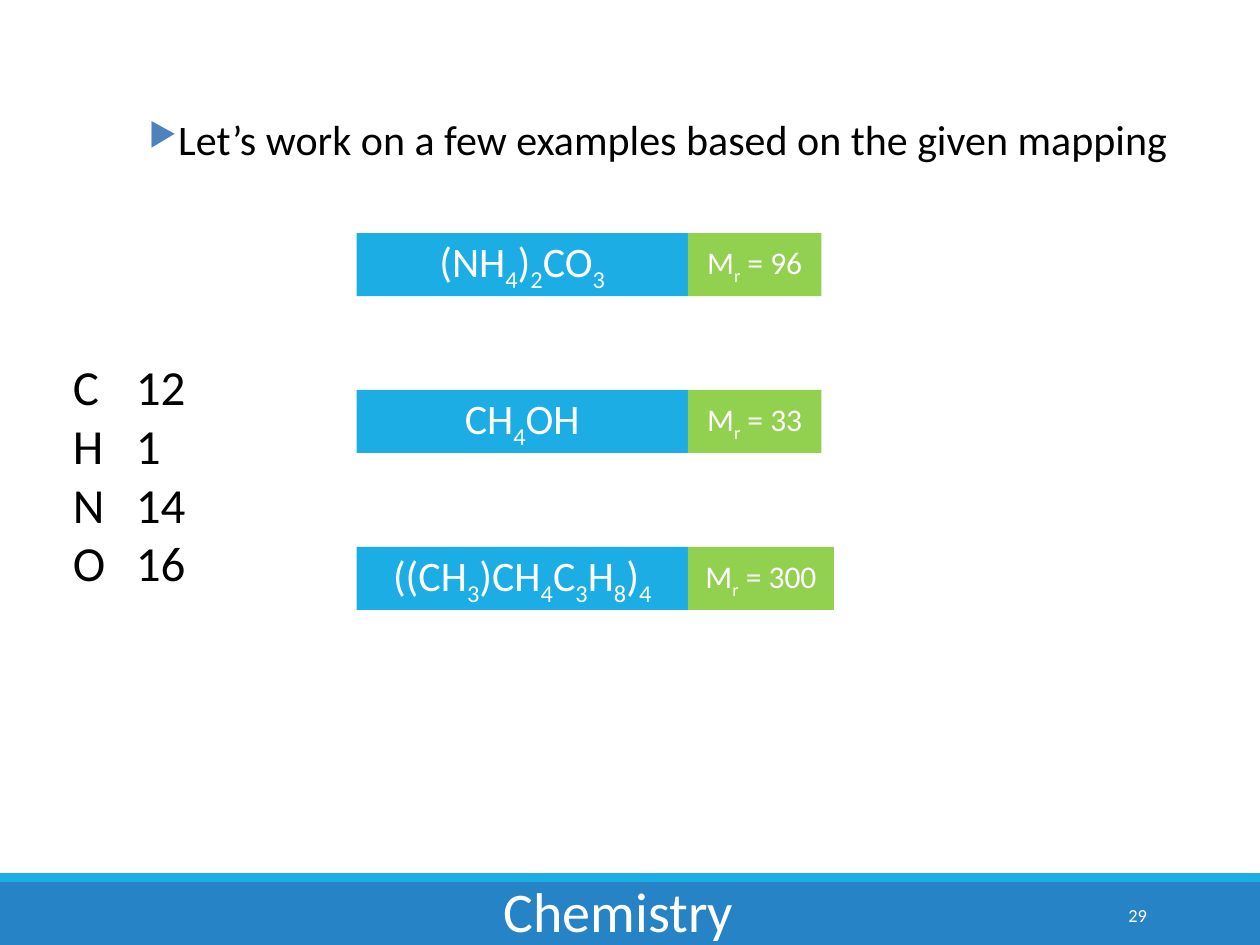
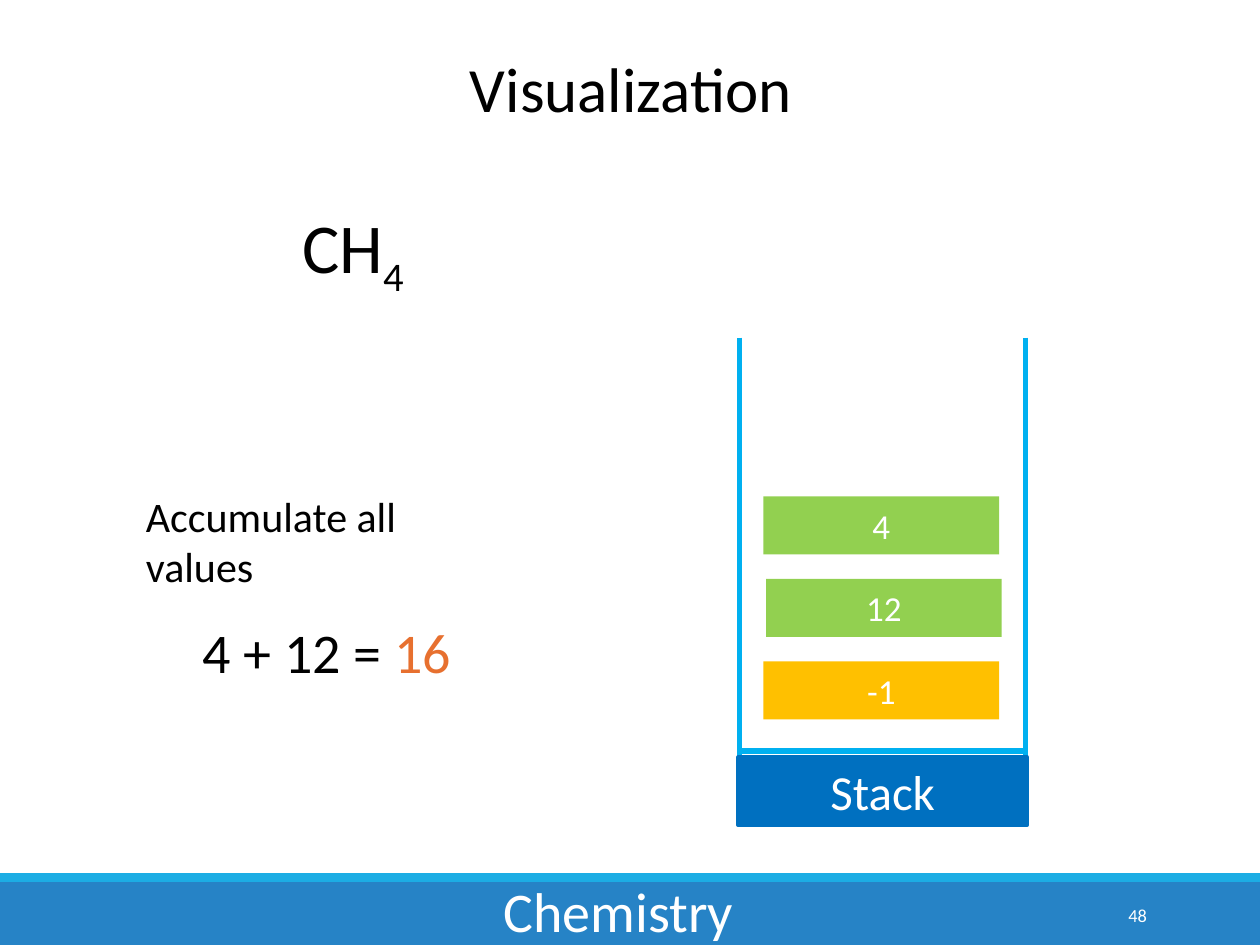
from lxml import etree
from pptx import Presentation
from pptx.dml.color import RGBColor
from pptx.enum.shapes import MSO_CONNECTOR, MSO_SHAPE
from pptx.enum.text import MSO_ANCHOR, PP_ALIGN
from pptx.oxml.ns import qn
from pptx.util import Inches, Pt

RECT, LINE = MSO_SHAPE.RECTANGLE, MSO_CONNECTOR.STRAIGHT
TOP, MID, LOW = MSO_ANCHOR.TOP, MSO_ANCHOR.MIDDLE, MSO_ANCHOR.BOTTOM
LEFT, MAIN, RIGHT = PP_ALIGN.LEFT, PP_ALIGN.CENTER, PP_ALIGN.RIGHT
FULL = PP_ALIGN.JUSTIFY

BLACK = RGBColor(0x00, 0x00, 0x00)
WHITE = RGBColor(0xFF, 0xFF, 0xFF)
BAND = RGBColor(0x26, 0x83, 0xC6)
SKY = RGBColor(0x1C, 0xAD, 0xE4)
WALL = RGBColor(0x00, 0xB0, 0xF0)
BASE = RGBColor(0x00, 0x70, 0xC0)
GREEN = RGBColor(0x92, 0xD0, 0x50)
GOLD = RGBColor(0xFF, 0xC0, 0x00)
RUST = RGBColor(0xE7, 0x70, 0x2F)

FONT = "Calibri"
WIDE, HIGH = Inches(10), Inches(7.5)
COL, ROW = WIDE // 100, HIGH // 75
PAD = (1, 0.5, 1, 0.5)
SLIM = (0.7, 0.4, 0.7, 0.4)
OPEN = (1, 0.5, 0, 0.5)


def grid(box):
    """Turn columns and rows into slide lengths."""
    return [round(n * unit) for n, unit in zip(box, (COL, ROW, COL, ROW))]


def add_run(para, text, size, color, sub=False):
    """Add one styled run."""
    run = para.add_run()
    run.text = text
    run.font.name, run.font.size = FONT, Pt(size)
    run.font.color.rgb = color
    if sub:
        run.font._element.set("baseline", "-25000")


def add_terms(para, terms, size, color):
    """Add text whose every second part, split at bars, is a subscript."""
    for i, part in enumerate(terms.split("|")):
        add_run(para, part, size, color, i % 2 == 1)


def set_frame(shape, align=LEFT, anchor=TOP, pad=PAD):
    """Prepare a text frame and return its first paragraph."""
    frame = shape.text_frame
    frame.word_wrap, frame.vertical_anchor = True, anchor
    (frame.margin_left, frame.margin_top,
     frame.margin_right, frame.margin_bottom) = grid(pad)
    para = frame.paragraphs[0]
    para.alignment = align
    return para


def add_label(slide, box, terms, size, color=BLACK, **style):
    """Place a text box and return its paragraph."""
    para = set_frame(slide.shapes.add_textbox(*grid(box)), **style)
    add_terms(para, terms, size, color)
    return para


def add_block(slide, box, fill, terms="", size=20):
    """Place a filled bar with centred white text."""
    shape = slide.shapes.add_shape(RECT, *grid(box))
    shape.shadow.inherit = False
    shape.fill.solid()
    shape.fill.fore_color.rgb = fill
    shape.line.fill.background()
    if terms:
        add_terms(set_frame(shape, MAIN, MID), terms, size, WHITE)
    return shape


def add_wall(slide, start, end):
    """Draw one side of the stack."""
    line = slide.shapes.add_connector(LINE, *grid(start + end))
    line.line.color.rgb, line.line.width = WALL, Pt(3)
    etree.SubElement(line._element.spPr, qn("a:effectLst"))


def add_bullet(para):
    """Give a paragraph a hanging blue triangle."""
    props = para._p.get_or_add_pPr()
    props.set("marL", str(Inches(0.23)))
    props.set("indent", str(-Inches(0.22)))
    tint = etree.SubElement(props, qn("a:buClr"))
    etree.SubElement(tint, qn("a:srgbClr"), val="4F81BD")
    etree.SubElement(props, qn("a:buSzPct"), val="76000")
    etree.SubElement(props, qn("a:buChar"), char="▶")


def add_slide(deck, number):
    """Start a blank slide with the shared footer."""
    slide = deck.slides.add_slide(deck.slide_layouts[6])
    add_block(slide, (0, 70, 100, 5), BAND)
    add_block(slide, (0, 69.3, 100, 0.7), SKY)
    add_label(slide, (27.9, 69, 42.4, 6.4), "Chemistry", 32, WHITE,
              align=MAIN, anchor=LOW)
    add_label(slide, (81.2, 70.6, 10.8, 4), number, 10.5, WHITE,
              align=RIGHT, anchor=MID)
    return slide


def add_masses(slide, box, masses):
    """List each atom beside its mass."""
    para = set_frame(slide.shapes.add_textbox(*grid(box)))
    frame = slide.shapes[-1].text_frame
    for i, (atom, mass) in enumerate(masses):
        para = frame.add_paragraph() if i else para
        add_run(para, f"{atom}\t{mass}", 28, BLACK)


def add_sums(slide, box, rows):
    """Stack formula bars, each with its mass at the right."""
    left, top, width, height = box
    step = (height - 5) / (len(rows) - 1)
    for i, (terms, mass, tail) in enumerate(rows):
        y = top + i * step
        add_block(slide, (left, y, width, 5), SKY, terms, 24)
        add_block(slide, (left + width, y, tail, 5), GREEN,
                  f"M|r| = {mass}", 18)


def add_stack(slide, box, items):
    """Draw an open stack with its items and its named base."""
    left, top, width, height = box
    right, low = left + width, top + height
    for x in (left, right):
        add_wall(slide, (x, top), (x, low))
    add_wall(slide, (left, low - 0.5), (right, low - 0.5))
    base = add_block(slide, (left - 0.1, low, width + 0.2, 5.4),
                     BASE, "Stack", 28)
    base.line.color.rgb, base.line.width = BASE, Pt(2.25)
    for i, (value, fill, shift) in enumerate(items):
        add_block(slide, (left + 1.9 + shift, low - 7.6 - i * 6.55, 18.7, 4.6),
                  fill, value)


def add_tasks(deck):
    """Build the slide of worked formulas."""
    slide = add_slide(deck, "29")
    para = add_label(slide, (11, 8.6, 83.3, 50),
                     "Let’s work on a few examples based on the given mapping",
                     24, align=FULL, pad=SLIM)
    add_bullet(para)
    add_masses(slide, (4.8, 27.8, 16.1, 19.9),
               [("C", 12), ("H", 1), ("N", 14), ("O", 16)])
    add_sums(slide, (28.3, 18.5, 26.3, 29.9), [
        ("(NH|4|)|2|CO|3", 96, 10.6),
        ("CH|4|OH", 33, 10.6),
        ("((CH|3|)CH|4|C|3|H|8|)|4", 300, 11.6)])


def add_trace(deck):
    """Build the slide that shows the stack at work."""
    slide = add_slide(deck, "48")
    add_label(slide, (36.6, 3.5, 59, 6.7), "Visualization", 36,
              align=FULL, pad=SLIM)
    add_label(slide, (23, 15.7, 11.3, 7.7), "CH|4", 40, pad=OPEN)
    add_stack(slide, (58.7, 26.8, 22.7, 33.3),
              [("-1", GOLD, 0), ("12", GREEN, 0.2), ("4", GREEN, 0)])
    add_label(slide, (10.6, 38.4, 31, 5), "Accumulate all values", 24,
              pad=(1, 0.5, 6, 0.5))
    para = add_label(slide, (15.1, 48.5, 22, 6.4), "4 + 12 = ", 32, pad=OPEN)
    add_run(para, "16", 32, RUST)


def main():
    """Build and save the deck."""
    deck = Presentation()
    deck.slide_width, deck.slide_height = WIDE, HIGH
    add_tasks(deck)
    add_trace(deck)
    deck.save("out.pptx")


if __name__ == "__main__":
    main()
